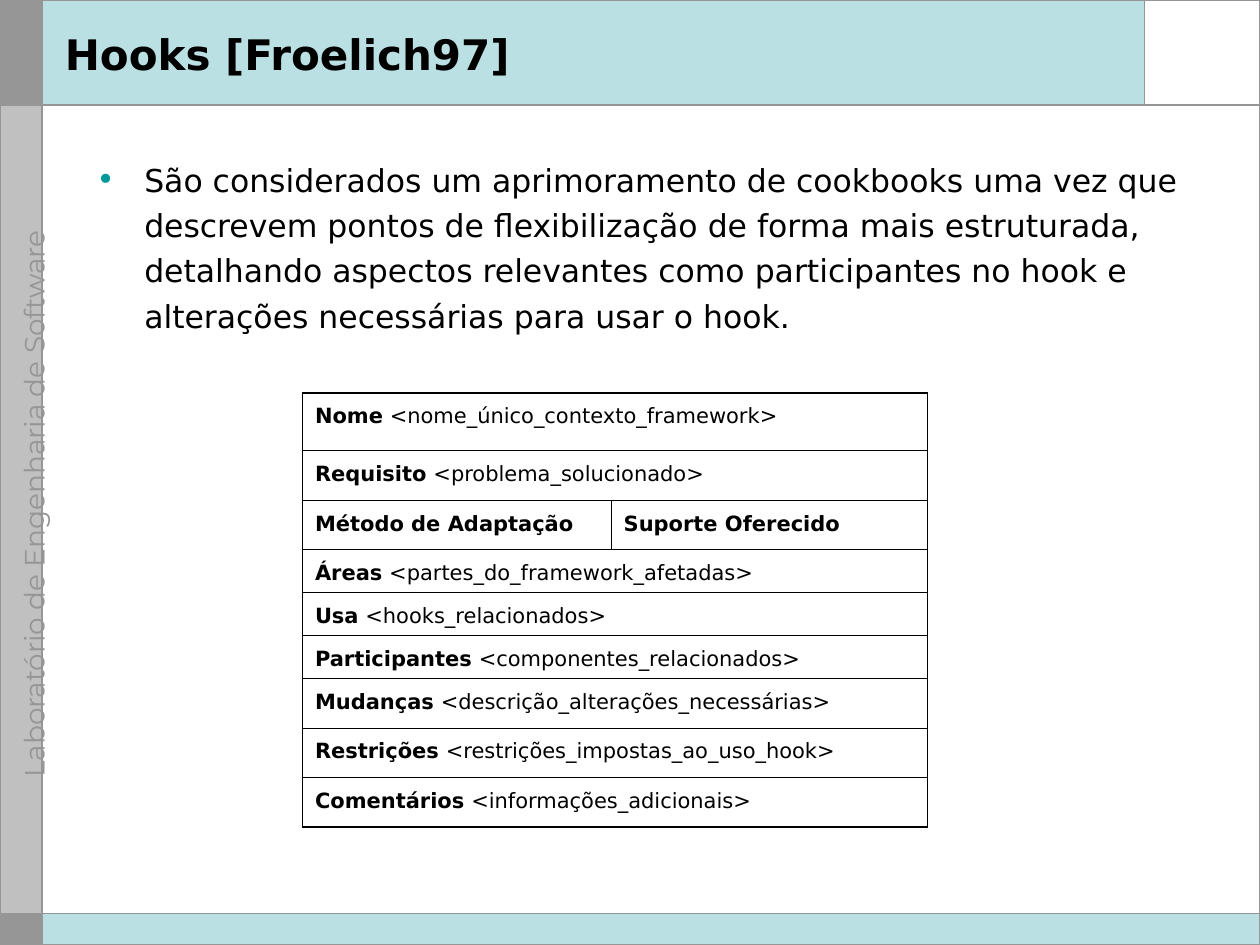
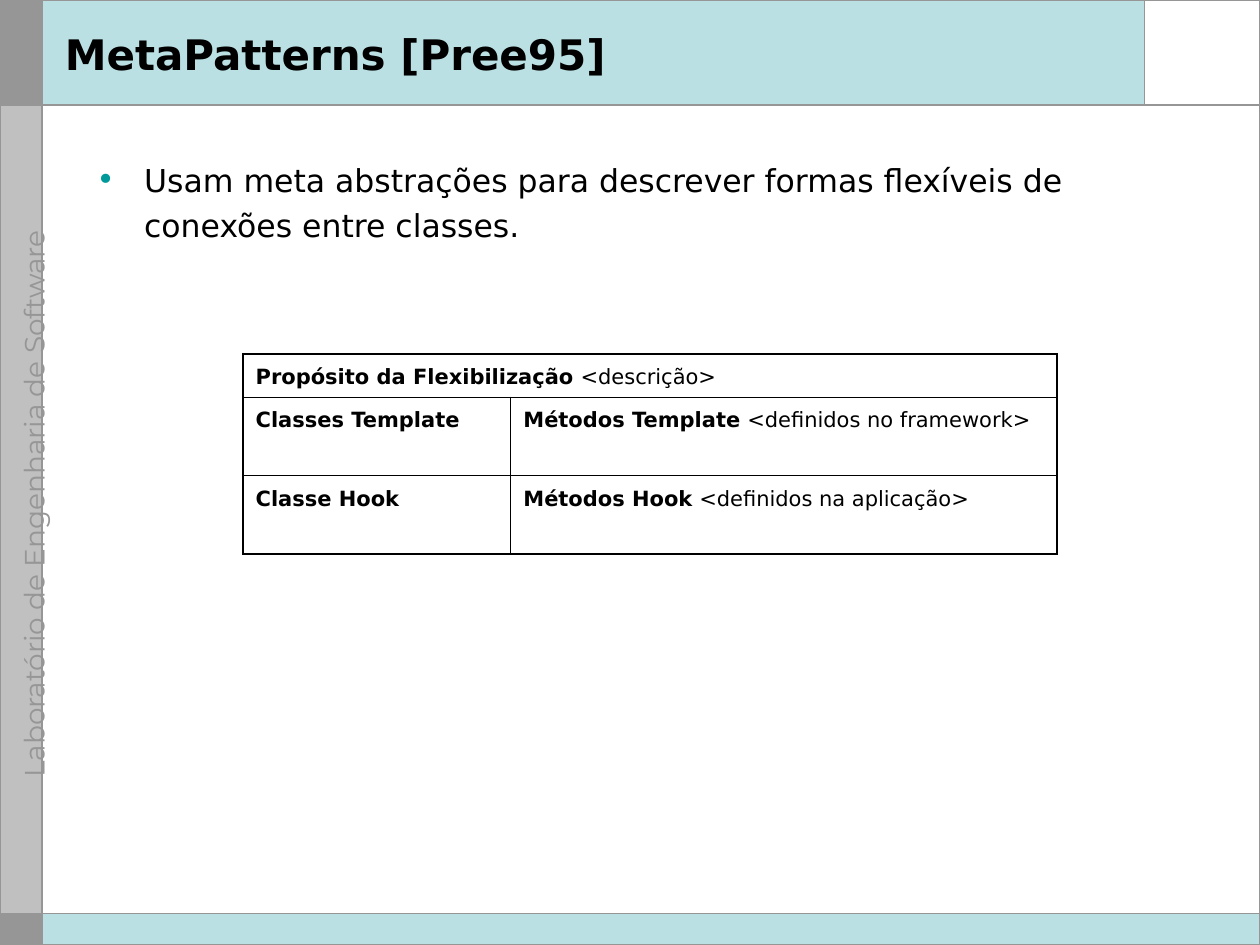
from dataclasses import dataclass

from lxml import etree
from pptx import Presentation
from pptx import util as u
from pptx.dml.color import RGBColor
from pptx.enum import shapes, text
from pptx.oxml import ns


@dataclass(frozen=True)
class Theme:
    ink: str = "000000"
    paper: str = "FFFFFF"
    band: str = "BBE0E3"
    rail: str = "C0C0C0"
    gray: str = "969696"
    bullet: str = "009999"
    font: str = "DejaVu Sans"
    rail_font: str = "Montserrat"
    title_size: int = 24
    body_size: int = 18
    rail_size: int = 16
    table_size: int = 12
    rule: float = 0.99
    edge: float = 0.74
    heavy: float = 1.08
    light: float = 0.45
    leading: float = 1.2


THEME = Theme()
COLUMNS, ROWS = 120, 90
WIDTH, HEIGHT = u.Inches(10), u.Inches(7.5)
RAIL, HEADER, FOOTER, CORNER = 4, 10, 87, 109
RAIL_LABEL = "Laboratório de Engenharia de Software"


def across(columns):
    return round(WIDTH * columns / COLUMNS)


def down(rows):
    return round(HEIGHT * rows / ROWS)


def place(box):
    left, top, width, height = box
    return across(left), down(top), across(width), down(height)


def apply(target, values):
    for name, value in values.items():
        setattr(target, name, value)


def color(code):
    return RGBColor.from_string(code)


def add_run(paragraph, words, size, bold=False, font=THEME.font, ink=THEME.ink):
    run = paragraph.add_run()
    run.text = words
    apply(run.font, {"name": font, "size": u.Pt(size), "bold": bold})
    run.font.color.rgb = color(ink)


def add_panel(slide, box, fill=None, line=None, weight=THEME.edge):
    panel = slide.shapes.add_shape(shapes.MSO_SHAPE.RECTANGLE, *place(box))
    panel.shadow.inherit = False
    if fill:
        panel.fill.solid()
        panel.fill.fore_color.rgb = color(fill)
    else:
        panel.fill.background()
    if line:
        panel.line.color.rgb = color(line)
        panel.line.width = u.Pt(weight)
    else:
        panel.line.fill.background()


def add_rule(slide, start, end):
    rule = slide.shapes.add_connector(
        shapes.MSO_CONNECTOR.STRAIGHT,
        across(start[0]), down(start[1]), across(end[0]), down(end[1]))
    rule.line.color.rgb = color(THEME.gray)
    rule.line.width = u.Pt(THEME.rule)
    etree.SubElement(rule._element.spPr, ns.qn("a:effectLst"))


def add_text_box(slide, box, wrap=True, anchor=text.MSO_ANCHOR.TOP):
    shape = slide.shapes.add_textbox(*place(box))
    apply(shape.text_frame, {"word_wrap": wrap, "vertical_anchor": anchor})
    return shape, shape.text_frame.paragraphs[0]


def add_frame(slide):
    content, body = COLUMNS - RAIL, FOOTER - HEADER
    footer = ROWS - FOOTER
    add_panel(slide, (0, 0, RAIL, HEADER), THEME.gray, THEME.gray)
    add_panel(slide, (RAIL, 0, content, HEADER), THEME.band)
    add_panel(slide, (0, HEADER, RAIL, body), THEME.rail, THEME.rail)
    add_panel(slide, (CORNER, 0, COLUMNS - CORNER, HEADER), THEME.paper)
    add_panel(slide, (RAIL, FOOTER, content, footer), THEME.band)
    add_rail_label(slide, (-25.9, 46.9, 56, 2.2))
    add_panel(slide, (0, FOOTER, RAIL, footer), THEME.gray, THEME.gray)
    for start, end in (
        ((CORNER, 0), (CORNER, HEADER)),
        ((0, HEADER), (COLUMNS, HEADER)),
        ((RAIL, 0), (RAIL, ROWS)),
        ((0, FOOTER), (COLUMNS, FOOTER)),
    ):
        add_rule(slide, start, end)
    add_panel(slide, (0, 0, COLUMNS, ROWS), line=THEME.gray, weight=THEME.rule)


def add_rail_label(slide, box):
    shape, paragraph = add_text_box(slide, box, wrap=False)
    shape.rotation = 270
    paragraph.alignment = text.PP_ALIGN.CENTER
    add_run(paragraph, RAIL_LABEL, THEME.rail_size,
            font=THEME.rail_font, ink=THEME.gray)


def add_title(slide, box, words):
    paragraph = add_text_box(slide, box, anchor=text.MSO_ANCHOR.MIDDLE)[1]
    add_run(paragraph, words, THEME.title_size, bold=True)


def add_bullet(slide, box, words):
    paragraph = add_text_box(slide, box)[1]
    apply(paragraph, {"line_spacing": THEME.leading, "space_before": u.Pt(4.5)})
    add_run(paragraph, words, THEME.body_size)
    properties = paragraph._p.get_or_add_pPr()
    indent = u.Inches(0.38)
    for name, value in {"marL": indent, "indent": -indent}.items():
        properties.set(name, str(int(value)))
    tint = etree.SubElement(properties, ns.qn("a:buClr"))
    etree.SubElement(tint, ns.qn("a:srgbClr"), val=THEME.bullet)
    etree.SubElement(properties, ns.qn("a:buFont"), typeface=THEME.font)
    etree.SubElement(properties, ns.qn("a:buChar"), char="•")


def set_borders(cell, weights):
    properties = cell._tc.get_or_add_tcPr()
    for position, (side, weight) in enumerate(weights.items()):
        border = etree.Element(ns.qn(f"a:ln{side}"), w=str(int(u.Pt(weight))))
        fill = etree.SubElement(border, ns.qn("a:solidFill"))
        etree.SubElement(fill, ns.qn("a:srgbClr"), val=THEME.ink)
        properties.insert(position, border)


def add_template_table(slide, corner, widths, heights, entries):
    box = (*corner, sum(widths), sum(heights))
    table = slide.shapes.add_table(
        len(heights), len(widths), *place(box)).table
    apply(table, {"first_row": False, "horz_banding": False})
    for column, width in zip(table.columns, widths):
        column.width = across(width)
    for row, height in zip(table.rows, heights):
        row.height = down(height)

    def weight(outer):
        return THEME.heavy if outer else THEME.light

    last_row, last_column = len(heights) - 1, len(widths) - 1
    for r, entry in enumerate(entries):
        merged = len(entry) == 1
        if merged:
            table.cell(r, 0).merge(table.cell(r, last_column))
        for c in range(len(widths)):
            cell = table.cell(r, c)
            cell.fill.background()
            sides = {
                "L": weight(c == 0),
                "R": weight(merged or c == last_column),
                "T": weight(r == 0),
                "B": weight(r == last_row),
            }
            if cell.is_spanned:
                del sides["L"]
            set_borders(cell, sides)
        for c, (label, hint) in enumerate(entry):
            paragraph = table.cell(r, c).text_frame.paragraphs[0]
            apply(paragraph, {"line_spacing": THEME.leading,
                              "space_before": u.Pt(3)})
            add_run(paragraph, label, THEME.table_size, bold=True)
            if hint:
                add_run(paragraph, f" <{hint}>", THEME.table_size)


def add_topic_slide(presentation, title, bullet, bullet_width, table):
    slide = presentation.slides.add_slide(presentation.slide_layouts[6])
    add_frame(slide)
    add_title(slide, (5, 1.4, 103, 7.5), title)
    add_bullet(slide, (8, 14, bullet_width, 70), bullet)
    add_template_table(slide, **table)


HOOK_TABLE = {
    "corner": (28.8, 37.4),
    "widths": (29.4, 30.15),
    "heights": (5.5, 4.75, 4.7, 4.1, 4.1, 4.1, 4.7, 4.75, 4.7),
    "entries": [
        [("Nome", "nome_único_contexto_framework")],
        [("Requisito", "problema_solucionado")],
        [("Método de Adaptação", ""), ("Suporte Oferecido", "")],
        [("Áreas", "partes_do_framework_afetadas")],
        [("Usa", "hooks_relacionados")],
        [("Participantes", "componentes_relacionados")],
        [("Mudanças", "descrição_alterações_necessárias")],
        [("Restrições", "restrições_impostas_ao_uso_hook")],
        [("Comentários", "informações_adicionais")],
    ],
}

METAPATTERN_TABLE = {
    "corner": (23.15, 33.7),
    "widths": (25.5, 52),
    "heights": (4.1, 7.5, 7.5),
    "entries": [
        [("Propósito da Flexibilização", "descrição")],
        [("Classes Template", ""),
         ("Métodos Template", "definidos no framework")],
        [("Classe Hook", ""), ("Métodos Hook", "definidos na aplicação")],
    ],
}

presentation = Presentation()
apply(presentation, {"slide_width": WIDTH, "slide_height": HEIGHT})
add_topic_slide(
    presentation,
    "Hooks [Froelich97]",
    "São considerados um aprimoramento de cookbooks uma vez que descrevem "
    "pontos de flexibilização de forma mais estruturada, detalhando aspectos "
    "relevantes como participantes no hook e alterações necessárias para usar "
    "o hook.",
    108.75,
    HOOK_TABLE,
)
add_topic_slide(
    presentation,
    "MetaPatterns [Pree95]",
    "Usam meta abstrações para descrever formas flexíveis de conexões entre "
    "classes.",
    105.8,
    METAPATTERN_TABLE,
)
presentation.save("out.pptx")
